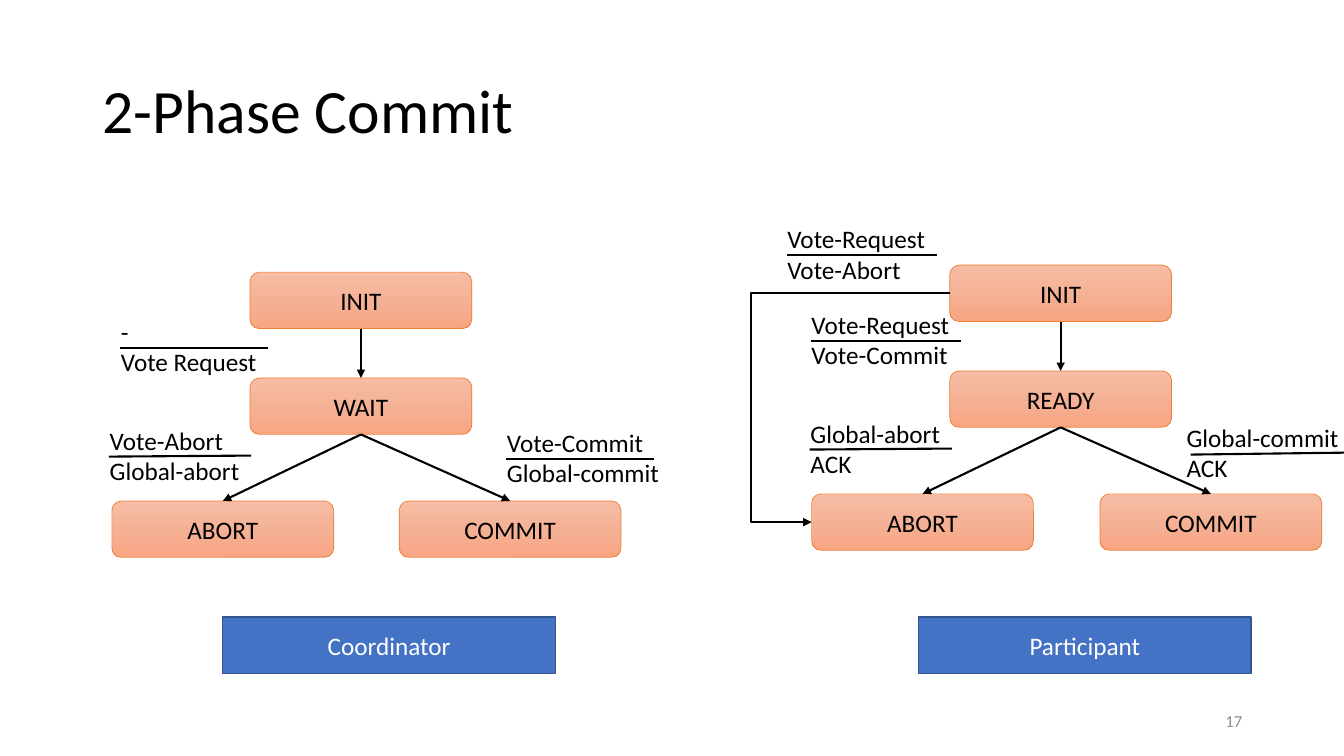
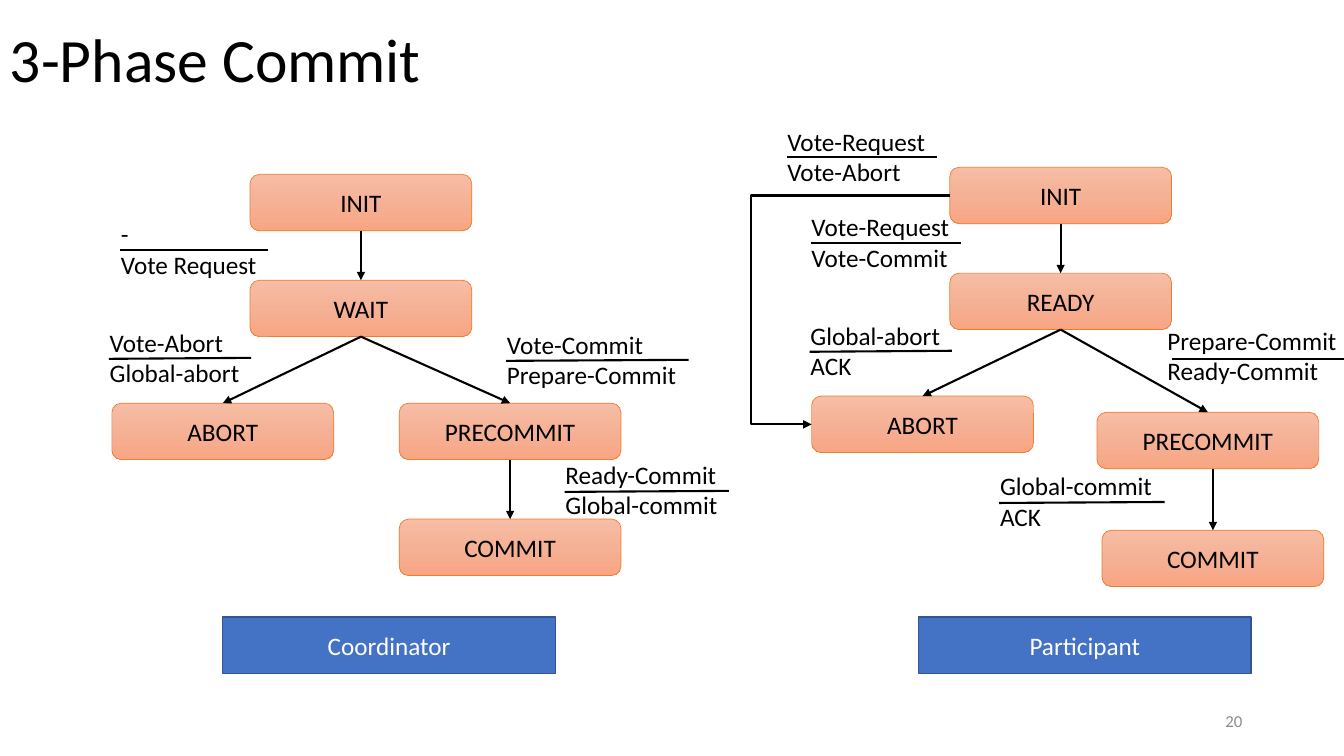
import copy
from dataclasses import dataclass
from typing import Any

import lxml.etree
import pptx
import pptx.dml.color
import pptx.enum.shapes
import pptx.enum.text
import pptx.oxml.ns
import pptx.util

Inches = pptx.util.Inches
Pt = pptx.util.Pt
qn = pptx.oxml.ns.qn
ALIGN = pptx.enum.text.PP_ALIGN
ANCHOR = pptx.enum.text.MSO_ANCHOR
AUTO_SIZE = pptx.enum.text.MSO_AUTO_SIZE
SHAPE = pptx.enum.shapes.MSO_SHAPE
CONNECTOR = pptx.enum.shapes.MSO_CONNECTOR

COLORS = {
    "ink": "000000",
    "number": "8C8C8C",
    "light": "FFFFFF",
    "state_edge": "ED7D31",
    "state_top": "F7BDA5",
    "state_middle": "F5B196",
    "state_bottom": "F8A582",
    "role": "4472C4",
    "role_edge": "325491",
}
FONTS = {
    "title": {"name": "Calibri", "size": Pt(44)},
    "body": {"name": "Calibri", "size": Pt(18)},
    "number": {"name": "Calibri", "size": Pt(12)},
}
FRAMES = {
    "middle": {"vertical_anchor": ANCHOR.MIDDLE, "word_wrap": True},
    "label": {"word_wrap": False, "auto_size": AUTO_SIZE.SHAPE_TO_FIT_TEXT},
}
BOX_HEIGHT = 0.56
STATE_WIDTH = 2.2
ROLE_WIDTH = 3.3
ROLE_TOP = 6.12
TOP_SITE, LEFT_SITE, BOTTOM_SITE = 0, 1, 2


@dataclass(frozen=True)
class State:
    name: str
    dx: float
    dy: float


@dataclass(frozen=True)
class Label:
    event: str
    action: str
    dx: float
    dy: float
    width: float
    rise: float = 0
    indent: float = 0.09
    trim: float = 0
    drop: float = 0.36


@dataclass(frozen=True)
class Machine:
    role: str
    role_left: float
    left: float
    top: float
    states: list[State]
    transitions: list[tuple[str, str]]
    labels: list[Label]
    aborts_at_once: bool = False


@dataclass(frozen=True)
class Protocol:
    title: str
    title_left: float
    title_top: float
    number: str
    machines: list[Machine]


def color(key: str) -> pptx.dml.color.RGBColor:
    return pptx.dml.color.RGBColor.from_string(COLORS[key])


def apply(target: Any, values: dict[str, Any]) -> None:
    for name, value in values.items():
        setattr(target, name, value)


def write(shape: Any, lines: list[str], font: str, ink: str, frame: str,
          align: Any = ALIGN.LEFT, spacing: float = 1.0) -> None:
    text_frame = shape.text_frame
    apply(text_frame, FRAMES[frame])
    text_frame.text = "\n".join(lines)
    for paragraph in text_frame.paragraphs:
        apply(paragraph, {"alignment": align, "line_spacing": spacing})
        apply(paragraph.font, FONTS[font])
        paragraph.font.color.rgb = color(ink)


def add_text(slide: Any, left: float, top: float, width: float, height: float,
             *args: Any, **kwargs: Any) -> None:
    box = slide.shapes.add_textbox(Inches(left), Inches(top), Inches(width), Inches(height))
    write(box, *args, **kwargs)


def add_box(slide: Any, kind: Any, left: float, top: float, width: float,
            text: str, ink: str, edge: str, weight: float) -> Any:
    box = slide.shapes.add_shape(kind, Inches(left), Inches(top), Inches(width), Inches(BOX_HEIGHT))
    box.shadow.inherit = False
    box.line.color.rgb = color(edge)
    box.line.width = Pt(weight)
    write(box, [text], "body", ink, "middle", ALIGN.CENTER)
    return box


def shade_state(box: Any) -> None:
    box.fill.gradient()
    box.fill.gradient_angle = 270
    stop_list = box.element.spPr.find(qn("a:gradFill")).find(qn("a:gsLst"))
    stop_list.insert(1, copy.deepcopy(stop_list[0]))
    shades = ("state_top", "state_middle", "state_bottom")
    for index, (stop, shade) in enumerate(zip(box.fill.gradient_stops, shades)):
        stop.color.rgb = color(shade)
        stop.position = index / 2


def add_line(slide: Any, kind: Any, start: tuple[int, int], end: tuple[int, int],
             arrow: bool = False) -> Any:
    line = slide.shapes.add_connector(kind, *start, *end)
    line.line.color.rgb = color("ink")
    line.line.width = Pt(1.5)
    properties = line.element.spPr
    if arrow:
        lxml.etree.SubElement(properties.find(qn("a:ln")), qn("a:tailEnd"), type="triangle")
    lxml.etree.SubElement(properties, qn("a:effectLst"))
    return line


def add_transition(slide: Any, source: Any, target: Any) -> None:
    source_x = source.left + source.width // 2
    target_x = target.left + target.width // 2
    arrow = add_line(slide, CONNECTOR.STRAIGHT, (target_x, source.top + source.height),
                     (target_x, target.top), arrow=True)
    nearly_aligned = 0 < abs(source_x - target_x) < Inches(0.1)
    if not nearly_aligned:
        arrow.begin_connect(source, BOTTOM_SITE)
    arrow.end_connect(target, TOP_SITE)


def add_abort_detour(slide: Any, source: Any, target: Any) -> None:
    detour = add_line(slide, CONNECTOR.ELBOW, (source.left, source.top + source.height // 2),
                      (target.left, target.top + target.height // 2), arrow=True)
    detour.begin_connect(source, LEFT_SITE)
    detour.end_connect(target, LEFT_SITE)
    adjustments = detour.element.spPr.find(qn("a:prstGeom")).find(qn("a:avLst"))
    lxml.etree.SubElement(adjustments, qn("a:gd"), name="adj1", fmla="val 143800")


def add_label(slide: Any, machine: Machine, label: Label) -> None:
    left, top = machine.left + label.dx, machine.top + label.dy
    add_text(slide, left, top, label.width, 0.71, [label.event, label.action],
             "body", "ink", "label")
    rule_y = top + label.drop
    add_line(slide, CONNECTOR.STRAIGHT, (Inches(left + label.indent), Inches(rule_y)),
             (Inches(left + label.width - label.trim), Inches(rule_y - label.rise)))


def draw_machine(slide: Any, machine: Machine) -> None:
    boxes = {}
    for state in machine.states:
        box = add_box(slide, SHAPE.ROUNDED_RECTANGLE, machine.left + state.dx,
                      machine.top + state.dy, STATE_WIDTH, state.name, "ink", "state_edge", 0.5)
        shade_state(box)
        boxes[state.name] = box
    for source, target in machine.transitions:
        add_transition(slide, boxes[source], boxes[target])
    if machine.aborts_at_once:
        add_abort_detour(slide, boxes["INIT"], boxes["ABORT"])
    for label in machine.labels:
        add_label(slide, machine, label)
    role = add_box(slide, SHAPE.RECTANGLE, machine.role_left, ROLE_TOP, ROLE_WIDTH,
                   machine.role, "light", "role_edge", 1)
    role.fill.solid()
    role.fill.fore_color.rgb = color("role")


def common_states(waiting: str) -> list[State]:
    return [State("INIT", 0, 0), State(waiting, 0, 1.05), State("ABORT", -1.37, 2.27)]


def common_transitions(waiting: str, commit_path: list[State]) -> list[tuple[str, str]]:
    chain = [waiting] + [state.name for state in commit_path]
    return [("INIT", waiting), (waiting, "ABORT"), *zip(chain, chain[1:])]


def coordinator(top: float, commit_path: list[State], labels: list[Label]) -> Machine:
    shared = [
        Label("-", "Vote Request", -1.38, 0.39, 1.56),
        Label("Vote-Abort", "Global-abort", -1.49, 1.47, 1.5, rise=0.01),
    ]
    return Machine("Coordinator", 2.21, 2.48, top, common_states("WAIT") + commit_path,
                   common_transitions("WAIT", commit_path), shared + labels)


def participant(top: float, commit_path: list[State], labels: list[Label]) -> Machine:
    shared = [
        Label("Vote-Request", "Vote-Commit", -1.47, 0.39, 1.58),
        Label("Global-abort", "ACK", -1.48, 1.47, 1.5, rise=0.01),
        Label("Vote-Request", "Vote-Abort", -1.71, -0.46, 1.58, indent=0.1),
    ]
    return Machine("Participant", 9.11, 9.42, top, common_states("READY") + commit_path,
                   common_transitions("READY", commit_path), shared + labels, True)


PROTOCOLS = [
    Protocol("2-Phase Commit", 0.92, 0.4, "17", [
        coordinator(2.7, [State("COMMIT", 1.48, 2.27)], [
            Label("Vote-Commit", "Global-commit", 2.45, 1.49, 1.73, trim=0.17),
        ]),
        participant(2.63, [State("COMMIT", 1.49, 2.27)], [
            Label("Global-commit", "ACK", 2.25, 1.51, 1.73, rise=0.02, indent=0.14, drop=0.37),
        ]),
    ]),
    Protocol("3-Phase Commit", 0, -0.1, "20", [
        coordinator(1.73, [State("PRECOMMIT", 1.48, 2.27), State("COMMIT", 1.48, 3.42)], [
            Label("Vote-Commit", "Prepare-Commit", 2.45, 1.49, 1.9, rise=0.01),
            Label("Ready-Commit", "Global-commit", 3.03, 2.78, 1.72, rise=0.01, drop=0.37),
        ]),
        participant(1.66, [State("PRECOMMIT", 1.46, 2.43), State("COMMIT", 1.51, 3.6)], [
            Label("Prepare-Commit", "Ready-Commit", 2.06, 1.52, 1.9,
                  indent=0.14, trim=0.05, drop=0.38),
            Label("Global-commit", "ACK", 0.4, 2.96, 1.73, rise=0.01, drop=0.37),
        ]),
    ]),
]


def draw_protocol(deck: Any, protocol: Protocol) -> None:
    slide = deck.slides.add_slide(deck.slide_layouts[6])
    add_text(slide, protocol.title_left, protocol.title_top, 11.5, 1.45,
             [protocol.title], "title", "ink", "middle", spacing=0.9)
    add_text(slide, 9.42, 6.95, 3, 0.4, [protocol.number], "number", "number", "middle",
             align=ALIGN.RIGHT)
    for machine in protocol.machines:
        draw_machine(slide, machine)


def main() -> None:
    deck = pptx.Presentation()
    deck.slide_width = Inches(13.33)
    deck.slide_height = Inches(7.5)
    for protocol in PROTOCOLS:
        draw_protocol(deck, protocol)
    deck.save("out.pptx")


if __name__ == "__main__":
    main()
